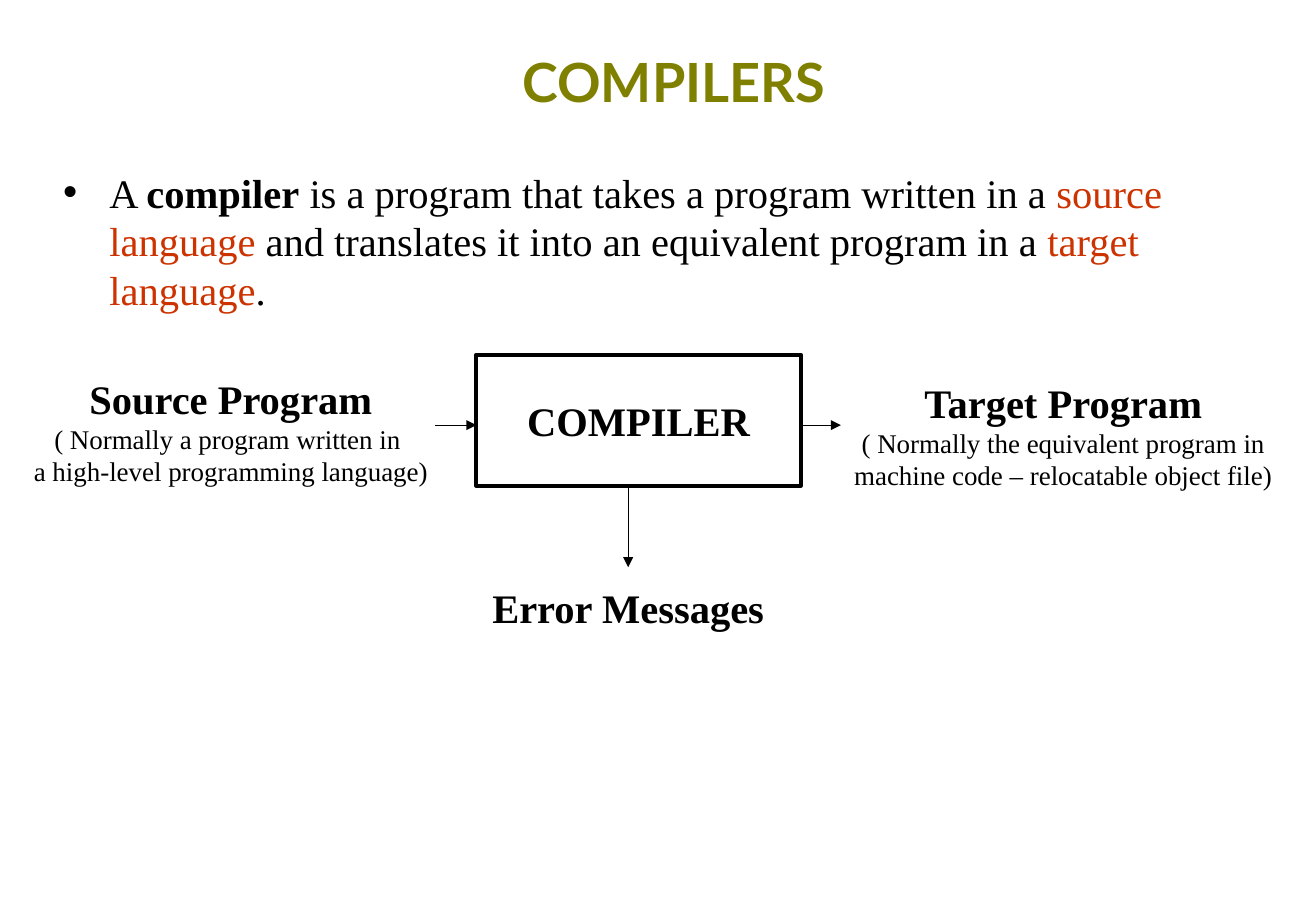
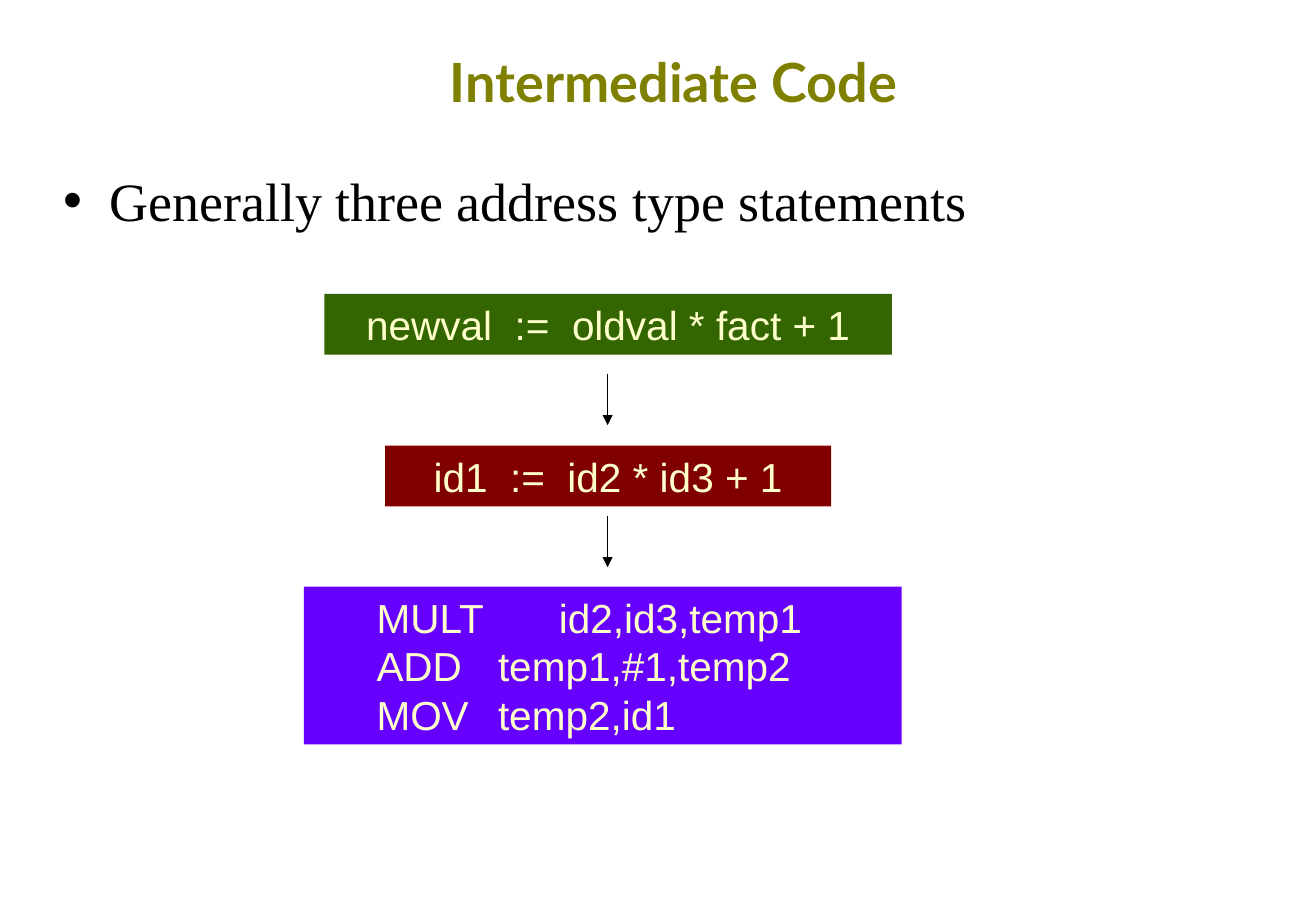
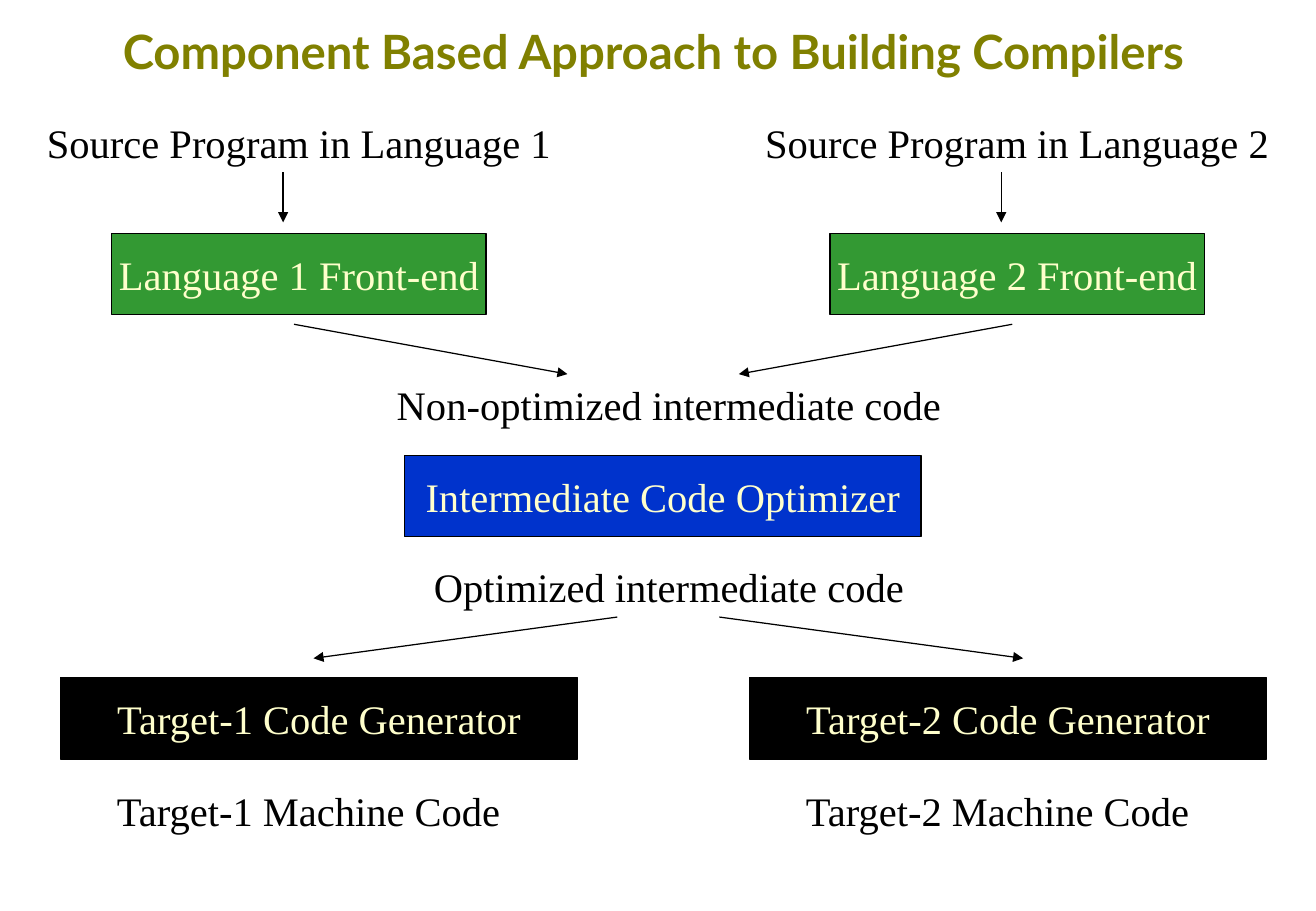
"""Build three slides about the structure of compilers."""
import dataclasses
import typing

import pptx
import pptx.dml.color
import pptx.enum.shapes
import pptx.enum.text
import pptx.oxml
import pptx.oxml.ns
import pptx.util

Inches = pptx.util.Inches
Align = pptx.enum.text.PP_ALIGN
Anchor = pptx.enum.text.MSO_ANCHOR

SERIF, SANS, HEADING = "Times New Roman", "Arial", "Lato"
BLACK, OLIVE, CREAM, RUST = "000000", "808000", "FFFFCC", "CC3300"
GREEN, MAROON, VIOLET = "336600", "800000", "6600FF"
LEAF, BLUE = "339933", "0033CC"
TITLE_AND_BODY, TITLE_ONLY = 1, 5


@dataclasses.dataclass(frozen=True)
class Span:
    text: str
    size: float = 24
    color: str = BLACK
    bold: bool = False
    font: str = SERIF


@dataclasses.dataclass(frozen=True)
class Frame:
    left: float
    top: float
    width: float
    height: float


@dataclasses.dataclass(frozen=True)
class Box:
    frame: Frame
    paras: tuple[tuple[Span, ...], ...]
    fill: str | None = None
    line: float = 0
    wrap: bool = True
    anchor: typing.Any = Anchor.TOP
    align: typing.Any = Align.CENTER
    indent: float = 0


@dataclasses.dataclass(frozen=True)
class Arrow:
    start: tuple[float, float]
    end: tuple[float, float]


def rgb(value: str) -> pptx.dml.color.RGBColor:
    return pptx.dml.color.RGBColor.from_string(value)


def add_spans(para: typing.Any, spans: typing.Iterable[Span]) -> None:
    for span in spans:
        run = para.add_run()
        run.text = span.text
        run.font.name = span.font
        run.font.size = pptx.util.Pt(span.size)
        run.font.bold = span.bold
        run.font.color.rgb = rgb(span.color)


def place(shape: typing.Any, frame: Frame) -> None:
    shape.left, shape.top = Inches(frame.left), Inches(frame.top)
    shape.width, shape.height = Inches(frame.width), Inches(frame.height)


def set_indent(para: typing.Any, margin: float, first: float = 0) -> None:
    properties = para._p.get_or_add_pPr()
    properties.set("marL", str(Inches(margin)))
    properties.set("indent", str(Inches(first)))


def draw_box(page: typing.Any, box: Box) -> None:
    frame = box.frame
    edges = [Inches(side) for side in (frame.left, frame.top, frame.width, frame.height)]
    if box.fill or box.line:
        shape = page.shapes.add_shape(pptx.enum.shapes.MSO_SHAPE.RECTANGLE, *edges)
        shape.shadow.inherit = False
        if box.fill:
            shape.fill.solid()
            shape.fill.fore_color.rgb = rgb(box.fill)
        else:
            shape.fill.background()
        if box.line:
            shape.line.color.rgb = rgb(BLACK)
            shape.line.width = pptx.util.Pt(box.line)
        else:
            shape.line.fill.background()
    else:
        shape = page.shapes.add_textbox(*edges)
    text = shape.text_frame
    text.word_wrap = box.wrap
    text.vertical_anchor = box.anchor
    for index, spans in enumerate(box.paras):
        para = text.add_paragraph() if index else text.paragraphs[0]
        para.alignment = box.align
        if box.indent:
            set_indent(para, box.indent)
        add_spans(para, spans)


def draw_arrow(page: typing.Any, arrow: Arrow) -> None:
    points = [Inches(value) for value in arrow.start + arrow.end]
    connector = page.shapes.add_connector(pptx.enum.shapes.MSO_CONNECTOR.STRAIGHT, *points)
    connector.line.color.rgb = rgb(BLACK)
    connector.line.width = pptx.util.Pt(0.75)
    tail = pptx.oxml.parse_xml(f'<a:tailEnd {pptx.oxml.ns.nsdecls("a")} type="triangle"/>')
    connector.line._get_or_add_ln().append(tail)
    effects = pptx.oxml.parse_xml(f'<a:effectLst {pptx.oxml.ns.nsdecls("a")}/>')
    connector._element.spPr.append(effects)


def draw_all(page: typing.Any, items: typing.Iterable[Box | Arrow]) -> None:
    for item in items:
        if isinstance(item, Box):
            draw_box(page, item)
        else:
            draw_arrow(page, item)


def add_page(deck: typing.Any, layout: int, title: str, size: float = 32,
             left: float = 0.42, top: float = 0.17) -> typing.Any:
    page = deck.slides.add_slide(deck.slide_layouts[layout])
    heading = page.shapes.title
    place(heading, Frame(left, top, 10.25, 1))
    heading.text_frame.auto_size = pptx.enum.text.MSO_AUTO_SIZE.NONE
    heading.text_frame.vertical_anchor = Anchor.MIDDLE
    para = heading.text_frame.paragraphs[0]
    para.alignment = Align.CENTER
    add_spans(para, [Span(title, size, OLIVE, True, HEADING)])
    return page


def fill_body(page: typing.Any, height: float, spans: typing.Iterable[Span]) -> None:
    body = page.placeholders[1]
    place(body, Frame(0.42, 1.33, 10.25, height))
    body.text_frame.auto_size = pptx.enum.text.MSO_AUTO_SIZE.NONE
    para = body.text_frame.paragraphs[0]
    set_indent(para, 0.38, -0.38)
    add_spans(para, spans)


def label(text: str, left: float, top: float, width: float, bold: bool = False) -> Box:
    return Box(Frame(left, top, width, 0.5), ((Span(text, bold=bold),),))


def program(frame: Frame, name: str, *details: str) -> Box:
    notes = tuple((Span(detail, 16),) for detail in details)
    return Box(frame, ((Span(name, bold=True),), *notes), wrap=False)


def code(frame: Frame, fill: str, *lines: str, **options: typing.Any) -> Box:
    paras = tuple((Span(line, color=CREAM, font=SANS),) for line in lines)
    return Box(frame, paras, fill, **options)


def stage(text: str, left: float, top: float, width: float, fill: str) -> Box:
    return Box(Frame(left, top, width, 0.67), ((Span(text, color=CREAM),),), fill,
               line=0.75, wrap=False, anchor=Anchor.MIDDLE)


def build_compilers(deck: typing.Any) -> None:
    page = add_page(deck, TITLE_AND_BODY, "COMPILERS")
    fill_body(page, 5.58, [
        Span("A "),
        Span("compiler", bold=True),
        Span(" is a program that takes a program written in a "),
        Span("source language", color=RUST),
        Span(" and translates it into an equivalent program in a "),
        Span("target language", color=RUST),
        Span("."),
    ])
    draw_all(page, [
        Box(Frame(3.92, 2.92, 2.67, 1.08), ((Span("COMPILER", bold=True),),),
            line=2.25, wrap=False, anchor=Anchor.MIDDLE),
        Arrow((3.58, 3.5), (3.92, 3.5)),
        Arrow((6.58, 3.5), (6.92, 3.5)),
        program(Frame(0.17, 3.03, 3.46, 1.03), "Source Program",
                "( Normally a program written in ", "a high-level programming language)"),
        program(Frame(6.92, 3.06, 3.66, 1.03), "Target Program",
                "( Normally the equivalent program in",
                "machine code – relocatable object file)"),
        Arrow((5.17, 4), (5.17, 4.67)),
        label("Error Messages", 3.92, 4.75, 2.5, bold=True),
    ])


def build_intermediate_code(deck: typing.Any) -> None:
    page = add_page(deck, TITLE_AND_BODY, "Intermediate Code")
    fill_body(page, 0.75, [Span("Generally three address type statements", 32)])
    draw_all(page, [
        code(Frame(2.67, 2.42, 4.67, 0.5), GREEN, "newval  :=  oldval * fact + 1"),
        Arrow((5, 3.08), (5, 3.5)),
        code(Frame(3.17, 3.67, 3.67, 0.5), MAROON, "id1  :=  id2 * id3 + 1"),
        Arrow((5, 4.25), (5, 4.67)),
        code(Frame(2.5, 4.83, 4.92, 1.3), VIOLET, "MULT  \tid2,id3,temp1",
             "ADD\ttemp1,#1,temp2", "MOV\ttemp2,id1", align=Align.LEFT, indent=0.5),
    ])


def build_components(deck: typing.Any) -> None:
    page = add_page(deck, TITLE_ONLY, "Component Based Approach to Building Compilers",
                    size=28, left=0.25, top=-0.08)
    for number, left in ((1, 0.17), (2, 6.08)):
        draw_all(page, [
            label(f"Source Program in Language {number}", left, 0.92, 4.58),
            Arrow((left + 2.16, 1.42), (left + 2.16, 1.83)),
            stage(f"Language {number} Front-end", left + 0.75, 1.92, 3.08, LEAF),
        ])
    for number, left in ((1, 0.5), (2, 6.17)):
        draw_all(page, [
            stage(f"Target-{number} Code Generator", left, 5.58, 4.25, BLACK),
            label(f"Target-{number} Machine Code", left + 0.25, 6.42, 3.58),
        ])
    draw_all(page, [
        label("Non-optimized intermediate code", 2.42, 3.08, 6.17),
        stage("Intermediate Code Optimizer", 3.33, 3.75, 4.25, BLUE),
        label("Optimized intermediate code", 2.42, 4.58, 6.17),
        Arrow((2.42, 2.67), (4.67, 3.08)),
        Arrow((8.33, 2.67), (6.08, 3.08)),
        Arrow((5.08, 5.08), (2.58, 5.42)),
        Arrow((5.92, 5.08), (8.42, 5.42)),
    ])


def main() -> None:
    deck = pptx.Presentation()
    deck.slide_width, deck.slide_height = Inches(10.83), Inches(7.5)
    build_compilers(deck)
    build_intermediate_code(deck)
    build_components(deck)
    deck.save("out.pptx")


main()
